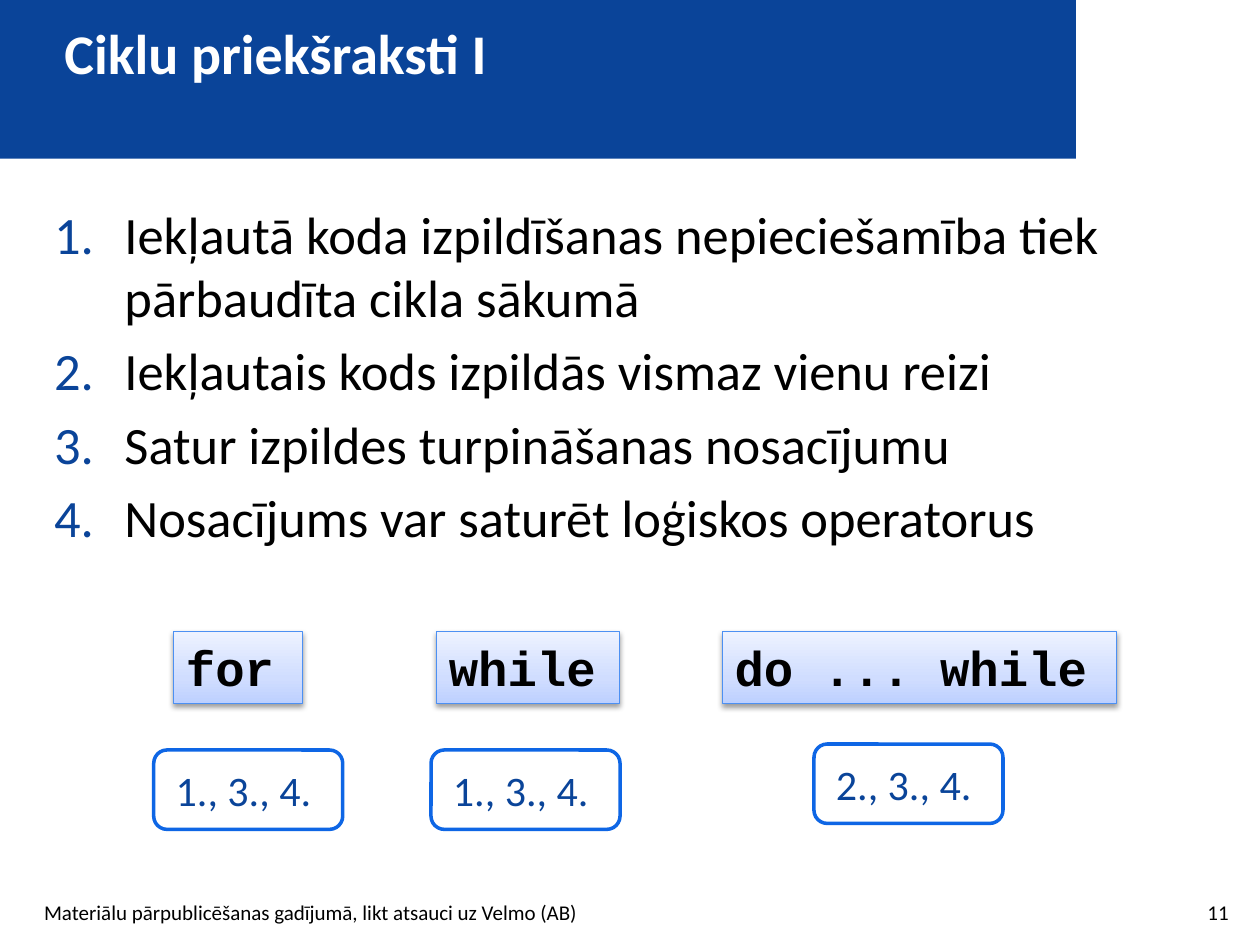
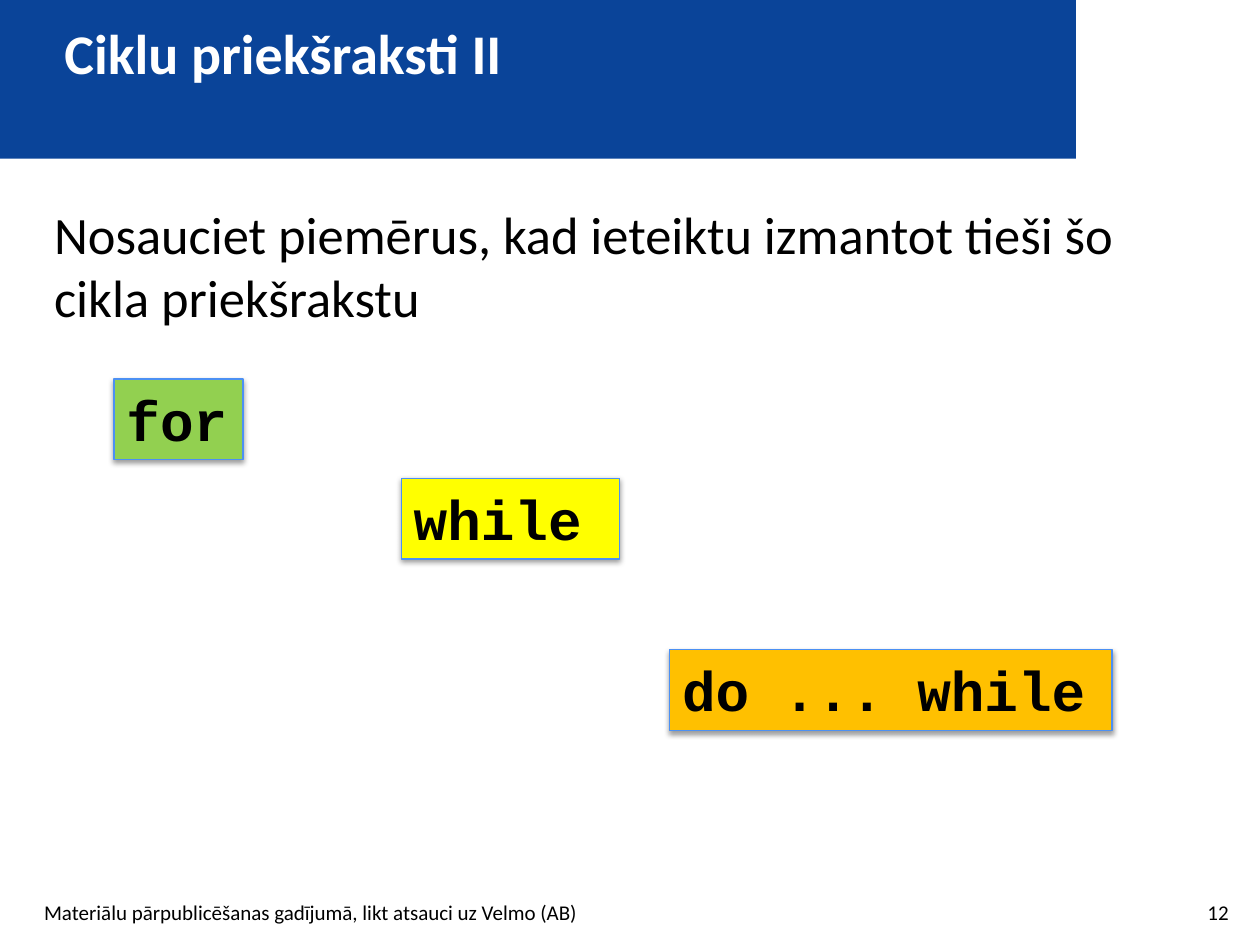
from lxml.etree import SubElement
from pptx import Presentation
from pptx.dml.color import RGBColor
from pptx.enum.shapes import MSO_SHAPE
from pptx.enum.text import MSO_ANCHOR, PP_ALIGN
from pptx.oxml import parse_xml
from pptx.oxml.ns import nsdecls, qn
from pptx.util import Cm, Pt

# Shared look
BLUE, OUTLINE, EDGE = "0A4499", "0E66E5", "4C90F3"
BLACK, WHITE = "000000", "FFFFFF"
PALE_GRADIENT = [(0, "BDD0FF"), (35, "D0DDFF"), (100, "EDF2FF")]
TEXT_FONT, CODE_FONT = "Calibri", "Courier New"
FOOTER = "Materiālu pārpublicēšanas gadījumā, likt atsauci uz Velmo (AB)"
FOOTER_TOP, FOOTER_HEIGHT = 18.01, 0.76
INDENT = Cm(1.42)


def color(hex_code):
    return RGBColor.from_string(hex_code)


def style(para, size, hex_code, font=TEXT_FONT, bold=False, align=PP_ALIGN.LEFT):
    para.font.name, para.font.size, para.font.bold = font, Pt(size), bold
    para.font.color.rgb = color(hex_code)
    para.alignment = align


def add_text(page, area, lines, size, hex_code=BLACK, **options):
    box = page.shapes.add_textbox(*map(Cm, area))
    frame = box.text_frame
    frame.word_wrap = True
    frame.text = "\n".join(lines)
    for para in frame.paragraphs:
        style(para, size, hex_code, **options)
    return frame


def add_shape(page, preset, area, fill, line=None, line_width=0):
    shape = page.shapes.add_shape(preset, *map(Cm, area))
    shape.shadow.inherit = False
    shape.fill.solid()
    shape.fill.fore_color.rgb = color(fill)
    if line:
        shape.line.color.rgb = color(line)
        shape.line.width = Pt(line_width)
    else:
        shape.line.fill.background()
    return shape


def number_paragraph(para):
    props = para._p.get_or_add_pPr()
    props.set("marL", str(INDENT))
    props.set("indent", str(-INDENT))
    bullet_color = SubElement(props, qn("a:buClr"))
    SubElement(bullet_color, qn("a:srgbClr"), val=BLUE)
    SubElement(props, qn("a:buFont"), typeface="+mj-lt")
    SubElement(props, qn("a:buAutoNum"), type="arabicPeriod")


def add_body(page, height, lines, numbered=False):
    frame = add_text(page, (0.84, 3.94, 23.29, height), lines, 30)
    for para in frame.paragraphs:
        para.space_before = Pt(6)
        if numbered:
            number_paragraph(para)


def set_gradient(shape, stops):
    shape.fill.gradient()
    shape.fill.gradient_angle = 90
    stop_list = shape._element.spPr.find(".//" + qn("a:gsLst"))
    for stop in list(stop_list):
        stop_list.remove(stop)
    for position, hex_code in stops:
        stop = SubElement(stop_list, qn("a:gs"), pos=str(position * 1000))
        SubElement(stop, qn("a:srgbClr"), val=hex_code)


def add_soft_shadow(shape):
    effects = shape._element.spPr.find(qn("a:effectLst"))
    effects.append(parse_xml(
        f'<a:outerShdw {nsdecls("a")} blurRad="40000" dist="20000" dir="5400000" '
        f'rotWithShape="0"><a:srgbClr val="{BLACK}"><a:alpha val="38000"/>'
        '</a:srgbClr></a:outerShdw>'))


def add_keyword(page, area, keyword, size, fill=WHITE, gradient=None):
    shape = add_shape(page, MSO_SHAPE.RECTANGLE, area, fill, EDGE, 0.75)
    if gradient:
        set_gradient(shape, gradient)
    add_soft_shadow(shape)
    frame = shape.text_frame
    frame.word_wrap = True
    frame.vertical_anchor = MSO_ANCHOR.TOP
    frame.text = keyword
    style(frame.paragraphs[0], size, BLACK, CODE_FONT, bold=True)


def add_answer(page, left, top, answer):
    area = (left, top, 3.81, 1.6)
    shape = add_shape(page, MSO_SHAPE.ROUNDED_RECTANGLE, area, WHITE, OUTLINE, 2)
    frame = shape.text_frame
    frame.vertical_anchor = MSO_ANCHOR.MIDDLE
    frame.text = answer
    style(frame.paragraphs[0], 24, BLUE, align=PP_ALIGN.CENTER)


def add_page(deck, title, number):
    page = deck.slides.add_slide(deck.slide_layouts[6])
    add_shape(page, MSO_SHAPE.RECTANGLE, (0, 0, 21.69, 3.2), BLUE)
    add_text(page, (0.64, FOOTER_TOP, 12.7, FOOTER_HEIGHT), [FOOTER], 12)
    add_text(page, (19.1, FOOTER_TOP, 5.92, FOOTER_HEIGHT), [str(number)], 12,
             align=PP_ALIGN.RIGHT)
    heading = add_text(page, (1.3, 0.25, 19.41, 2.67), [title], 32, WHITE, bold=True)
    heading.margin_left = heading.margin_right = 0
    return page


def main():
    deck = Presentation()
    deck.slide_width, deck.slide_height = Cm(25.4), Cm(19.05)

    # Properties of each loop statement
    page = add_page(deck, "Ciklu priekšraksti I", 11)
    add_body(page, 13.08, [
        "Iekļautā koda izpildīšanas nepieciešamība tiek pārbaudīta cikla sākumā",
        "Iekļautais kods izpildās vismaz vienu reizi",
        "Satur izpildes turpināšanas nosacījumu",
        "Nosacījums var saturēt loģiskos operatorus",
    ], numbered=True)
    for left, width, keyword in [(3.5, 2.6, "for"), (8.8, 3.69, "while"),
                                 (14.56, 7.95, "do ... while")]:
        add_keyword(page, (left, 12.73, width, 1.45), keyword, 28,
                    gradient=PALE_GRADIENT)
    for left, top, answer in [(3.1, 15.12, "1., 3., 4. "), (8.69, 15.12, "1., 3., 4. "),
                              (16.41, 15.0, "2., 3., 4. ")]:
        add_answer(page, left, top, answer)

    # Examples for each loop statement
    page = add_page(deck, "Ciklu priekšraksti II", 12)
    add_body(page, 3.99, [
        "Nosauciet piemērus, kad ieteiktu izmantot tieši šo cikla priekšrakstu"])
    for left, top, width, keyword, fill in [
            (2.3, 7.64, 2.6, "for", "92D050"),
            (8.09, 9.64, 4.4, "while", "FFFF00"),
            (13.5, 13.1, 8.92, "do ... while", "FFC000")]:
        add_keyword(page, (left, top, width, 1.63), keyword, 32, fill)

    deck.save("out.pptx")


if __name__ == "__main__":
    main()
